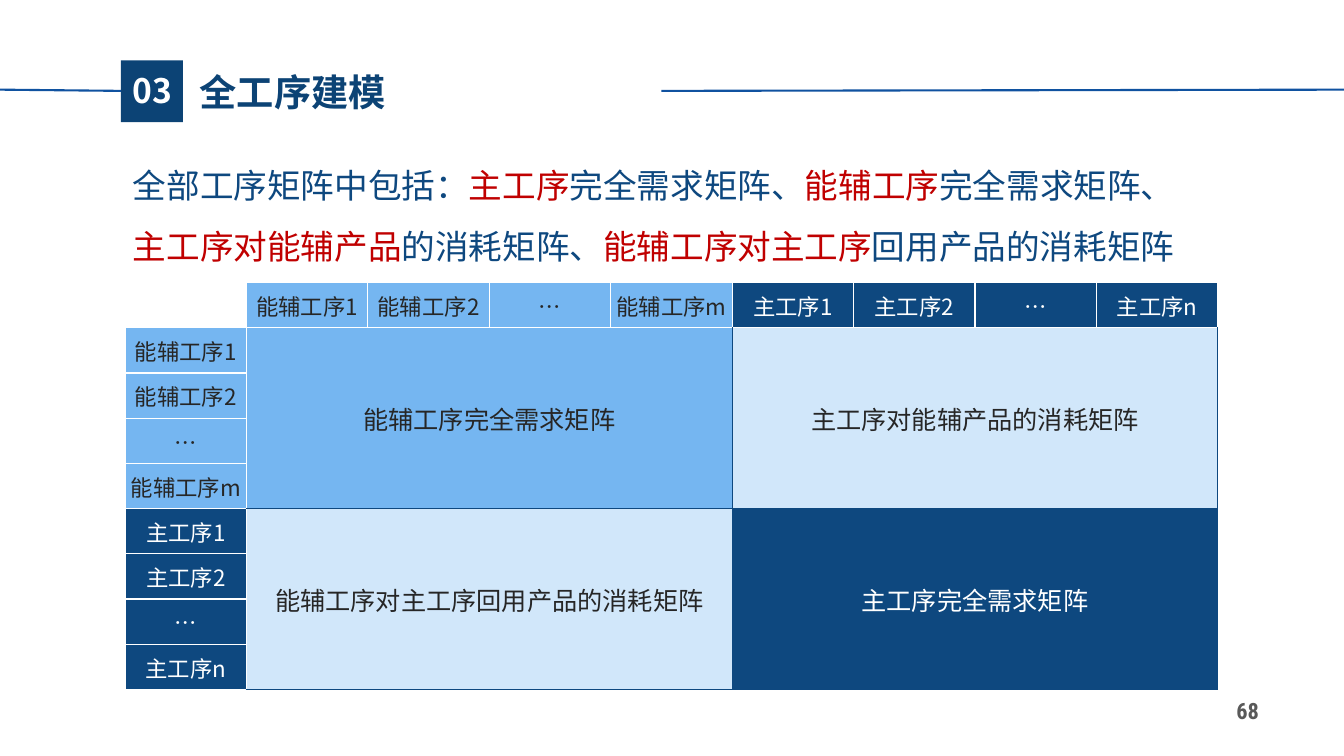
from dataclasses import dataclass

from lxml import etree
from pptx import Presentation
from pptx import util as u
from pptx.dml.color import RGBColor
from pptx.enum import lang, shapes, text
from pptx.oxml import ns

Cm, Pt = u.Cm, u.Pt
FONT = "Noto Sans CJK SC"
NAVY, DARK, LINE, SKY, PALE = "0E487F", "0C4375", "1052A0", "75B6F1", "D1E7FA"
WHITE, INK, RED, GREY = "FFFFFF", "262626", "C00000", "595959"


@dataclass
class Block:
    label: str
    row: int
    col: int
    fill: str
    color: str
    borders: dict[str, str]


@dataclass
class Rule:
    x1: float
    y1: float
    x2: float
    y2: float


def rgb(color: str) -> RGBColor:
    return RGBColor.from_string(color)


def place(sp, left: float, top: float, width: float, height: float) -> None:
    sp.left, sp.top, sp.width, sp.height = Cm(left), Cm(top), Cm(width), Cm(height)


def style_run(r, size: float, color: str, bold: bool = False, font: str = FONT) -> None:
    r.font.size, r.font.bold, r.font.name = Pt(size), bold, font
    r.font.color.rgb = rgb(color)
    r.font.language_id = lang.MSO_LANGUAGE_ID.SIMPLIFIED_CHINESE
    ea = etree.SubElement(r.font._element, ns.qn("a:ea"))
    ea.set("typeface", font)


def set_text(tf, label: str, size: float, color: str, bold: bool = False,
             font: str = FONT, align=text.PP_ALIGN.CENTER) -> None:
    tf.text = label
    tf.vertical_anchor = text.MSO_ANCHOR.MIDDLE
    p = tf.paragraphs[0]
    p.alignment, p.space_before = align, Pt(0)
    style_run(p.runs[0], size, color, bold, font)


def add_rule(s, rule: Rule) -> None:
    cx = s.shapes.add_connector(shapes.MSO_CONNECTOR.STRAIGHT, Cm(rule.x1), Cm(rule.y1),
                                Cm(rule.x2), Cm(rule.y2))
    cx.line.color.rgb, cx.line.width = rgb(LINE), Pt(1.5)
    etree.SubElement(cx.element.spPr, ns.qn("a:effectLst"))


def set_borders(cell, colors: dict[str, str]) -> None:
    tc_pr = cell._tc.get_or_add_tcPr()
    for side in "LRTB":
        ln = etree.SubElement(tc_pr, ns.qn(f"a:ln{side}"), w=str(Pt(1)))
        fill = etree.SubElement(ln, ns.qn("a:solidFill"))
        etree.SubElement(fill, ns.qn("a:srgbClr"), val=colors.get(side, WHITE))


def set_cell(cell, label: str, size: float, fill: str, color: str) -> None:
    cell.margin_left = cell.margin_right = cell.margin_top = Cm(0.03)
    cell.margin_bottom = 0
    cell.fill.solid()
    cell.fill.fore_color.rgb = rgb(fill)
    set_text(cell.text_frame, label, size, color)
    cell.vertical_anchor = text.MSO_ANCHOR.MIDDLE


def add_matrix(s, labels: list[str], blocks: list[Block]) -> None:
    n, half = len(labels) + 1, len(labels) // 2
    col_w, row_h = Cm(3.06), Cm(1.14)
    frame = s.shapes.add_table(n, n, Cm(3.15), Cm(7.12), col_w * n, row_h * n)
    table = frame.table
    table.first_row = table.horz_banding = False
    for col in table.columns:
        col.width = col_w
    for row in table.rows:
        row.height = row_h

    # Row and column headers
    corner = table.cell(0, 0)
    set_borders(corner, {})
    corner.fill.background()
    for i, label in enumerate(labels, 1):
        fill, color = (SKY, INK) if i <= half else (NAVY, WHITE)
        for cell in (table.cell(0, i), table.cell(i, 0)):
            set_borders(cell, {})
            set_cell(cell, label, 16, fill, color)

    # Four merged blocks
    for b in blocks:
        for k in range(half * half):
            set_borders(table.cell(b.row + k // half, b.col + k % half), b.borders)
        first = table.cell(b.row, b.col)
        first.merge(table.cell(b.row + half - 1, b.col + half - 1))
        set_cell(first, b.label, 18, b.fill, b.color)


prs = Presentation()
prs.slide_width, prs.slide_height = Cm(33.87), Cm(19.05)
s = prs.slides.add_slide(prs.slide_layouts[1])
title, number = s.shapes.title, s.placeholders[1]

# Heading: rules, badge, section number and title
for rule in (Rule(0, 2.26, 3.05, 2.29), Rule(16.67, 2.29, 33.87, 2.26)):
    add_rule(s, rule)
badge = s.shapes.add_shape(shapes.MSO_SHAPE.RECTANGLE, Cm(3.05), Cm(1.52), Cm(1.56), Cm(1.56))
badge.shadow.inherit = False
badge.fill.solid()
badge.fill.fore_color.rgb = rgb(DARK)
badge.line.fill.background()
title.element.addprevious(badge.element)

place(title, 4.78, 1.6, 5.26, 1.4)
set_text(title.text_frame, "全工序建模", 26.6, DARK, True, align=text.PP_ALIGN.LEFT)
title.text_frame.word_wrap = False
title.text_frame.auto_size = text.MSO_AUTO_SIZE.NONE

place(number, 3.02, 1.63, 1.63, 1.27)
set_text(number.text_frame, "03", 24, WHITE, True)
number.text_frame.auto_size = text.MSO_AUTO_SIZE.NONE
p_pr = number.text_frame.paragraphs[0]._p.get_or_add_pPr()
p_pr.set("marL", "0")
p_pr.set("indent", "0")
etree.SubElement(p_pr, ns.qn("a:buNone"))

# Introduction with highlighted terms
INTRO = [
    ("全部工序矩阵中包括：", NAVY), ("主工序", RED), ("完全需求矩阵、", NAVY),
    ("能辅工序", RED), ("完全需求矩阵、", NAVY), ("主工序对能辅产品", RED),
    ("的消耗矩阵、", NAVY), ("能辅工序对主工序", RED), ("回用产品的消耗矩阵", NAVY),
]
intro = s.shapes.add_textbox(Cm(3.02), Cm(3.48), Cm(27.56), Cm(3.23))
tf = intro.text_frame
tf.word_wrap = True
tf.margin_left = tf.margin_right = Cm(0.33)
tf.margin_top = tf.margin_bottom = Cm(0.18)
p = tf.paragraphs[0]
p.line_spacing = 1.5
for words, color in INTRO:
    r = p.add_run()
    r.text = words
    style_run(r, 24, color)

# Process matrix
LABELS = ["能辅工序1", "能辅工序2", "…", "能辅工序m", "主工序1", "主工序2", "…", "主工序n"]
BLOCKS = [
    Block("能辅工序完全需求矩阵", 1, 1, SKY, INK, dict.fromkeys("RB", NAVY)),
    Block("主工序对能辅产品的消耗矩阵", 1, 5, PALE, INK, dict.fromkeys("LRB", NAVY)),
    Block("能辅工序对主工序回用产品的消耗矩阵", 5, 1, PALE, INK, dict.fromkeys("TRB", NAVY)),
    Block("主工序完全需求矩阵", 5, 5, NAVY, WHITE, dict.fromkeys("LRTB", NAVY)),
]
add_matrix(s, LABELS, BLOCKS)

# Page number
page = s.shapes.add_textbox(Cm(30.66), Cm(17.45), Cm(1.57), Cm(0.91))
page.text_frame.word_wrap = True
set_text(page.text_frame, "68", 16, GREY, True, "Roboto Condensed")

prs.save("out.pptx")
